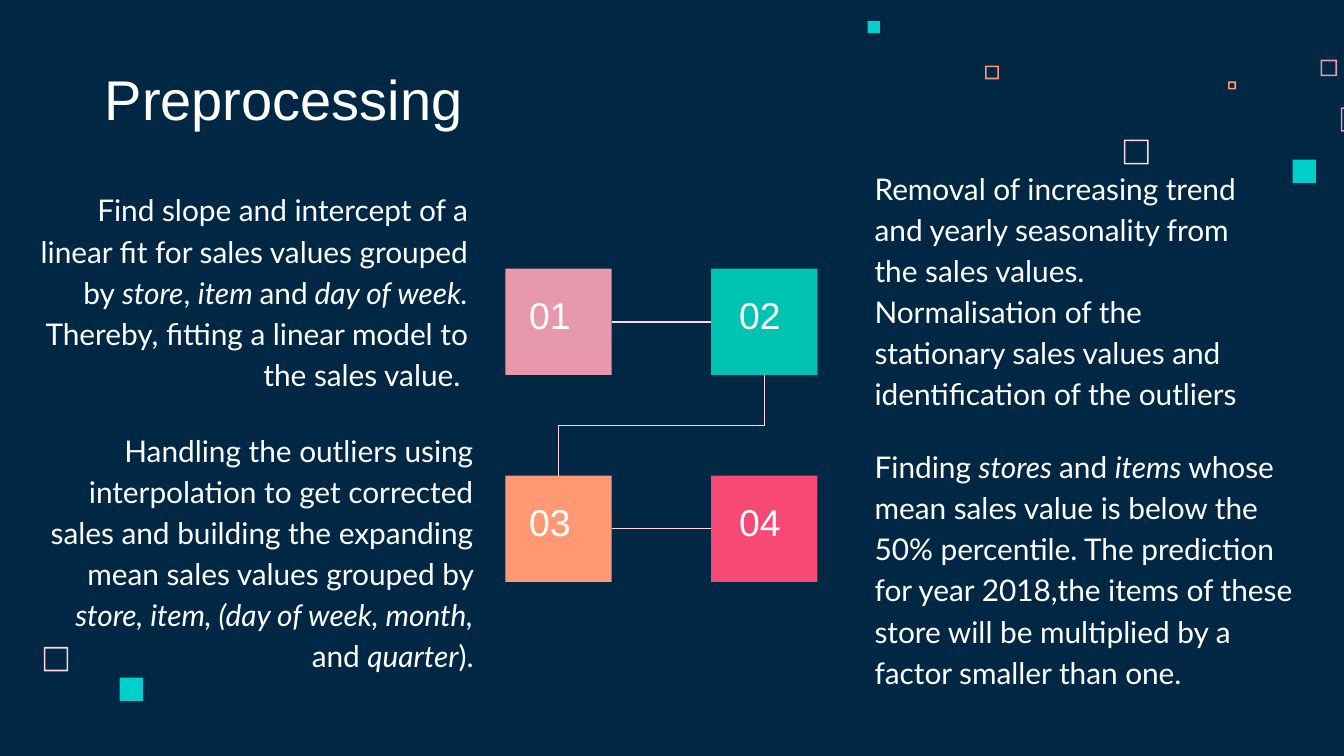
"""Build the Preprocessing slide: four linked steps with their descriptions."""
from copy import deepcopy

from lxml import etree
from pptx import Presentation
from pptx.dml.color import RGBColor
from pptx.enum.shapes import MSO_CONNECTOR, MSO_SHAPE
from pptx.enum.text import MSO_ANCHOR, PP_ALIGN
from pptx.oxml.ns import qn
from pptx.util import Cm, Pt

RECTANGLE, FRAME = MSO_SHAPE.RECTANGLE, MSO_SHAPE.FRAME
STRAIGHT, ELBOW = MSO_CONNECTOR.STRAIGHT, MSO_CONNECTOR.ELBOW
TOP, BOTTOM = MSO_ANCHOR.TOP, MSO_ANCHOR.BOTTOM
LEFT, RIGHT = PP_ALIGN.LEFT, PP_ALIGN.RIGHT

NAVY = RGBColor(0x00, 0x28, 0x45)
WHITE = RGBColor(0xFF, 0xFF, 0xFF)
BLUSH = RGBColor(0xFF, 0xD6, 0xE1)
ROSE = RGBColor(0xE8, 0x98, 0xAC)
ORANGE = RGBColor(0xFF, 0x99, 0x73)
CYAN = RGBColor(0x00, 0xCF, 0xCC)
TEAL = RGBColor(0x00, 0xC3, 0xB1)
RED = RGBColor(0xF6, 0x49, 0x75)

TITLE = "Preprocessing"
HOLLOW_SQUARES = [
    (21.24, 2.64, 0.47, BLUSH), (24.96, 1.13, 0.31, ROSE),
    (23.21, 1.54, 0.15, ORANGE), (25.34, 2.03, 0.46, ROSE),
    (18.62, 1.24, 0.26, ORANGE), (0.83, 12.23, 0.46, BLUSH),
]
SOLID_SQUARES = [(24.43, 3.02, 0.44), (16.4, 0.4, 0.23), (2.26, 12.81, 0.44)]
STEPS = [("01", ROSE), ("02", TEAL), ("03", ORANGE), ("04", RED)]
DESCRIPTIONS = [
    (0.41, 3.28, 8.69, 4.01, RIGHT,
     "Find slope and intercept of a linear fit for sales values grouped by "
     "*store*, *item *and* day of week. *Thereby, fitting a linear model to "
     "the sales value. "),
    (16.28, 2.87, 8.08, 5.13, LEFT,
     "Removal of increasing trend and yearly seasonality from the sales values. \n"
     "Normalisation of the stationary sales values and identification of the outliers"),
    (0.69, 7.82, 8.51, 4.01, RIGHT,
     "Handling the outliers using interpolation to get corrected sales and "
     "building the expanding mean sales values grouped by "
     "*store, item, (day of week, month,* and *quarter*)."),
    (16.28, 8.13, 8.51, 5.13, LEFT,
     "Finding *stores *and *items *whose mean sales value is below the 50% "
     "percentile. The prediction for year 2018,the items of these store will "
     "be multiplied by a factor smaller than one."),
]

COLUMNS, ROWS = (9.55, 13.44), (5.08, 8.99)
NUMBER_LEFTS, NUMBER_DROP = (9.75, 13.72), 0.2
STEP_SIDE, FRAME_BAND, INSET = 2.01, 0.03, 0.25


def add_square(slide, left, top, side, color, kind=RECTANGLE):
    square = slide.shapes.add_shape(kind, Cm(left), Cm(top), Cm(side), Cm(side))
    square.shadow.inherit = False
    square.fill.solid()
    square.fill.fore_color.rgb = color
    square.line.fill.background()
    if kind == FRAME:
        square.adjustments[0] = FRAME_BAND / side


def add_words(slide, left, top, width, height, words, font, size,
              align=LEFT, anchor=TOP, spacing=1.0):
    """Write words in a box; asterisks switch italics on and off."""
    frame = slide.shapes.add_textbox(Cm(left), Cm(top), Cm(width), Cm(height)).text_frame
    frame.word_wrap = True
    frame.vertical_anchor = anchor
    frame.margin_left = frame.margin_right = Cm(INSET)
    frame.margin_top = frame.margin_bottom = Cm(INSET)
    paragraph = frame.paragraphs[0]
    paragraph.alignment = align
    paragraph.line_spacing = spacing
    for index, part in enumerate(words.split("*")):
        for line_number, line in enumerate(part.split("\n")):
            if line_number:
                paragraph.add_line_break()
            run = paragraph.add_run()
            run.text = line
            run.font.name, run.font.size = font, Pt(size)
            run.font.color.rgb = WHITE
            run.font.italic = index % 2 == 1
    for line_break in paragraph._p.findall(qn("a:br")):
        line_break.append(deepcopy(paragraph.runs[0]._r.rPr))


def add_link(slide, kind, start_x, start_y, end_x, end_y, turn=0):
    link = slide.shapes.add_connector(kind, Cm(start_x), Cm(start_y), Cm(end_x), Cm(end_y))
    link.line.color.rgb = BLUSH
    link.line.width = Pt(0.75)
    properties = link._element.spPr
    etree.SubElement(properties, qn("a:effectLst"))
    if turn:
        properties.find(qn("a:xfrm")).set("rot", str(turn * 60000))


def add_links(slide):
    half = STEP_SIDE / 2
    for row, kind in zip(ROWS, (ELBOW, STRAIGHT)):
        add_link(slide, kind, COLUMNS[0] + STEP_SIDE, row + half, COLUMNS[1], row + half)
    center_x = sum(COLUMNS) / 2 + half
    center_y = sum(ROWS) / 2 + half
    reach_x = (ROWS[1] - ROWS[0] - STEP_SIDE) / 2
    reach_y = (COLUMNS[1] - COLUMNS[0]) / 2
    add_link(slide, ELBOW, center_x - reach_x, center_y - reach_y,
             center_x + reach_x, center_y + reach_y, turn=90)


def main():
    deck = Presentation()
    deck.slide_width, deck.slide_height = Cm(25.4), Cm(14.29)
    slide = deck.slides.add_slide(deck.slide_layouts[6])
    slide.background.fill.solid()
    slide.background.fill.fore_color.rgb = NAVY

    for left, top, side, color in HOLLOW_SQUARES:
        add_square(slide, left, top, side, color, FRAME)
    for left, top, side in SOLID_SQUARES:
        add_square(slide, left, top, side, CYAN)

    add_words(slide, 1.73, 1.14, 16.36, 1.6, TITLE, "Arial", 30, anchor=BOTTOM)
    add_links(slide)
    for index, (number, color) in enumerate(STEPS):
        row, column = divmod(index, 2)
        add_square(slide, COLUMNS[column], ROWS[row], STEP_SIDE, color)
        add_words(slide, NUMBER_LEFTS[column], ROWS[row] + NUMBER_DROP, 1.5, 1.6,
                  number, "Arial", 20)
    for left, top, width, height, align, words in DESCRIPTIONS:
        add_words(slide, left, top, width, height, words, "Lato", 16, align, spacing=1.15)

    deck.save("out.pptx")


if __name__ == "__main__":
    main()
